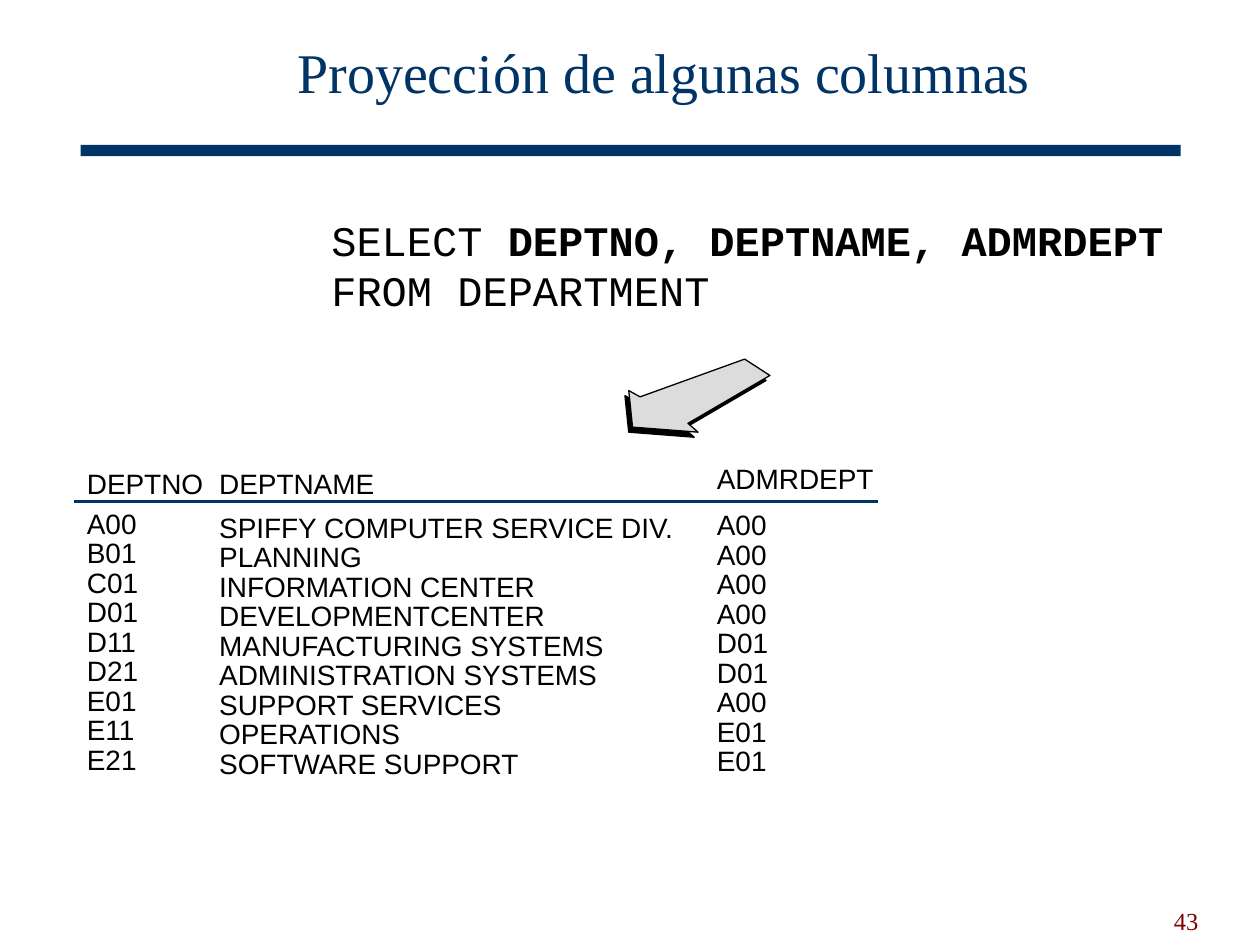
from pptx import Presentation
from pptx.dml.color import RGBColor
from pptx.enum.shapes import MSO_CONNECTOR, MSO_SHAPE
from pptx.enum.text import MSO_ANCHOR, PP_ALIGN
from pptx.oxml.ns import qn
from pptx.util import Inches, Pt
from lxml.etree import SubElement

NAVY = RGBColor(0x00, 0x33, 0x66)
MAROON = RGBColor(0x80, 0x00, 0x00)
BLACK = RGBColor(0x00, 0x00, 0x00)
SILVER = RGBColor(0xDC, 0xDC, 0xDC)

SERIF, SANS, MONO = "Times New Roman", "Arial", "Courier New"
COLS, ROWS = 100, 75


class Board:
    """Places elements on a grid of 100 columns by 75 rows."""

    def __init__(self, deck):
        self.slide = deck.slides.add_slide(deck.slide_layouts[6])
        self.shapes = self.slide.shapes
        self.col = deck.slide_width / COLS
        self.row = deck.slide_height / ROWS

    def spot(self, x, y):
        return round(x * self.col), round(y * self.row)

    def text(self, box, paras, font, size, color=BLACK, align=PP_ALIGN.LEFT,
             anchor=MSO_ANCHOR.TOP, inset=(0, 0), space=None):
        """Each paragraph is a list of (words, bold) runs."""
        x, y, w, h = box
        frame = self.shapes.add_textbox(*self.spot(x, y), *self.spot(w, h)).text_frame
        frame.word_wrap = True
        frame.vertical_anchor = anchor
        frame.margin_left = frame.margin_right = Inches(inset[0])
        frame.margin_top = frame.margin_bottom = Inches(inset[1])
        for i, runs in enumerate(paras):
            para = frame.add_paragraph() if i else frame.paragraphs[0]
            para.alignment = align
            para.line_spacing = space
            for words, bold in runs:
                run = para.add_run()
                run.text = words
                run.font.name = font
                run.font.size = Pt(size)
                run.font.bold = bold
                run.font.color.rgb = color

    def bar(self, x, y, w, h, color):
        shape = self.shapes.add_shape(
            MSO_SHAPE.RECTANGLE, *self.spot(x, y), *self.spot(w, h))
        shape.shadow.inherit = False
        shape.fill.solid()
        shape.fill.fore_color.rgb = color
        shape.line.fill.background()

    def outline(self, points, color, dx=0, dy=0):
        spots = [self.spot(x + dx, y + dy) for x, y in points]
        path = self.shapes.build_freeform(*spots[0])
        path.add_line_segments(spots[1:], close=True)
        shape = path.convert_to_shape()
        shape.shadow.inherit = False
        shape.fill.solid()
        shape.fill.fore_color.rgb = color
        shape.line.color.rgb = BLACK
        shape.line.width = Pt(0.75)

    def rule(self, start, end, color, width):
        line = self.shapes.add_connector(
            MSO_CONNECTOR.STRAIGHT, *self.spot(*start), *self.spot(*end))
        line.line.color.rgb = color
        line.line.width = Pt(width)
        SubElement(line._element.spPr, qn("a:effectLst"))

    def column(self, x, w, head, top, names):
        """Draws a heading at its own row and the values at an even step."""
        title, y = head
        step = 2.34
        cells = [(title, y)] + [(name, top + i * step) for i, name in enumerate(names)]
        for words, y in cells:
            self.text((x, y, w, 2.7), [[(words, False)]], SANS, 16)


ARROW = [(61.1, 29.8), (59.1, 28.5), (50.8, 31.5), (49.9, 31),
         (50.2, 33.9), (55.4, 34.3), (54.6, 33.6)]

TABLE = [
    (6.9, 10, ("DEPTNO", 37), 40.2,
     ["A00", "B01", "C01", "D01", "D11", "D21", "E01", "E11", "E21"]),
    (17.4, 38, ("DEPTNAME", 37), 40.5,
     ["SPIFFY COMPUTER SERVICE DIV.", "PLANNING", "INFORMATION CENTER",
      "DEVELOPMENTCENTER", "MANUFACTURING SYSTEMS", "ADMINISTRATION SYSTEMS",
      "SUPPORT SERVICES", "OPERATIONS", "SOFTWARE SUPPORT"]),
    (56.9, 13, ("ADMRDEPT", 36.6), 40.3,
     ["A00", "A00", "A00", "A00", "D01", "D01", "A00", "E01", "E01"]),
]

QUERY = [
    [("SELECT ", False), ("DEPTNO, DEPTNAME, ADMRDEPT", True)],
    [("FROM DEPARTMENT", False)],
]


def main():
    deck = Presentation()
    deck.slide_width, deck.slide_height = Inches(10), Inches(7.5)
    board = Board(deck)

    board.bar(6.4, 11.5, 87.3, 0.9, NAVY)
    board.text((72.1, 69.7, 24, 5), [[("43", False)]], SERIF, 14, MAROON,
               PP_ALIGN.RIGHT, MSO_ANCHOR.BOTTOM, (0.1, 0.05))
    board.text((12.3, 1.4, 80.8, 9.4), [[("Proyección de algunas columnas", False)]],
               SERIF, 32, NAVY, PP_ALIGN.CENTER, MSO_ANCHOR.MIDDLE, (0.1, 0.05), 0.85)
    for column in TABLE:
        board.column(*column)
    board.outline(ARROW, BLACK, -0.3, 0.4)
    board.outline(ARROW, SILVER)
    board.text((26.3, 17, 67, 8), QUERY, MONO, 24)
    board.rule((5.9, 39.8), (69.7, 39.8), NAVY, 2.25)

    deck.save("out.pptx")


if __name__ == "__main__":
    main()
